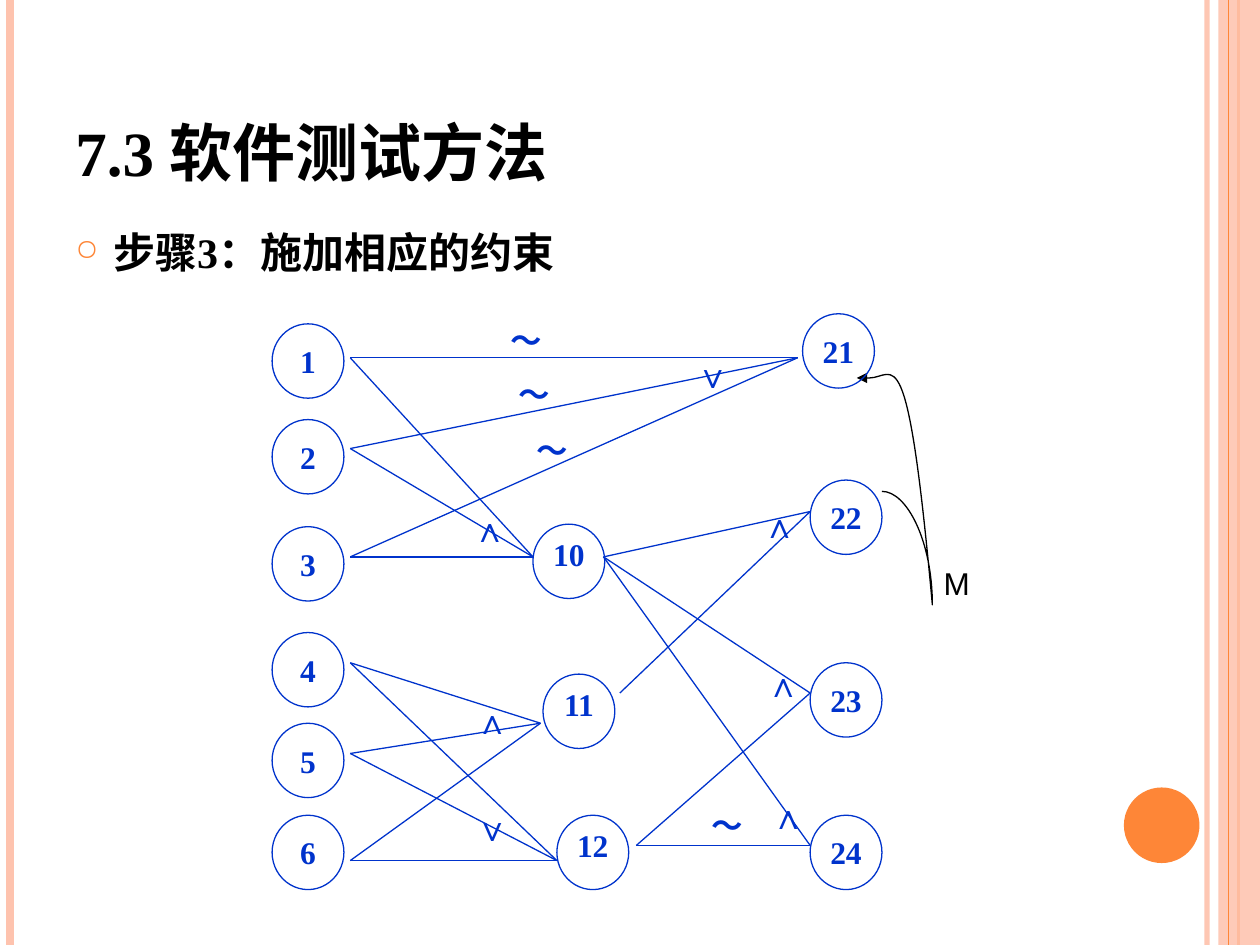
from lxml.etree import SubElement
from pptx import Presentation
from pptx.dml.color import RGBColor
from pptx.enum.dml import MSO_LINE
from pptx.enum.shapes import MSO_CONNECTOR, MSO_SHAPE
from pptx.enum.text import MSO_ANCHOR, PP_ALIGN
from pptx.oxml.ns import qn
from pptx.util import Inches, Pt

COLORS = {"ink": "000000", "graph": "0033CC", "accent": "FE8637", "pale": "FEC3AE"}
SERIF = "Times New Roman"
COLUMNS, ROWS = 100, 75
CELL = Inches(10) // COLUMNS
NODE_SIZE = (5.7, 5.9)

NODES = {
    "1": (21.6, 25.7), "2": (21.6, 33.3), "3": (21.6, 41.8),
    "4": (21.6, 50.2), "5": (21.6, 57.4), "6": (21.6, 64.7),
    "10": (42.3, 41.6), "11": (43.1, 53.5), "12": (44.2, 64.7),
    "21": (63.7, 24.9), "22": (64.3, 38.1), "23": (64.3, 52.6), "24": (64.3, 64.7),
}
EXITS = {
    "1": (27.8, 28.4), "2": (27.8, 35.6), "3": (27.8, 44.2),
    "4": (27.8, 52.6), "5": (27.8, 59.8), "6": (27.8, 68.3),
    "10": (47.9, 44.2), "11": (49.2, 55), "12": (50.5, 67.1),
}
ENTRIES = {
    "10": (42.3, 44.2), "11": (42.9, 57.4), "12": (44.2, 68.3),
    "21": (63.3, 28.4), "22": (64.3, 40.6), "23": (64.3, 55), "24": (64.3, 67.1),
}
CAUSES_OF = {
    "10": ["1", "2", "3"], "11": ["4", "5", "6"], "12": ["4", "5", "6"],
    "21": ["1", "2", "3"], "22": ["10", "11"], "23": ["10", "12"], "24": ["10", "12"],
}
OPERATORS = {
    "～": [(39.5, 25), (40.2, 29.3), (41.6, 33.7), (55.5, 63.5)],
    "∧": [(36.5, 39.8), (36.7, 55), (59.5, 39.5), (59.8, 52.1), (60.2, 62.6)],
    "∨": [(36.7, 63.5), (54.2, 27.6)],
}
MASK_CURVE = [
    (69.5, 39.2), (71.7, 39), (73.8, 42.8), (74.3, 47.6),
    (72.3, 25.9), (70.9, 30), (68.7, 30.2),
    (68.5, 30.2), (68.3, 30.2), (68.1, 30.1),
]


def cells(*values):
    return [round(value * CELL) for value in values]


def rgb(name):
    return RGBColor.from_string(COLORS[name])


def set_alpha(fill_parent, percent):
    color = next(fill_parent.iter(qn("a:srgbClr")))
    SubElement(color, qn("a:alpha")).set("val", str(percent * 1000))


def write(shape, text, size=18, font=SERIF, color="graph", bold=True,
          align=None, anchor=MSO_ANCHOR.TOP, inset=(0.1, 0.05), after=None, bullet=None):
    frame = shape.text_frame
    frame.word_wrap = True
    frame.vertical_anchor = anchor
    frame.margin_left = frame.margin_right = Inches(inset[0])
    frame.margin_top = frame.margin_bottom = Inches(inset[1])
    paragraph = frame.paragraphs[0]
    paragraph.alignment = align
    if after is not None:
        paragraph.space_after = Pt(after)
    if bullet:
        properties = paragraph._p.get_or_add_pPr()
        properties.set("marL", str(Inches(0.3)))
        properties.set("indent", str(-Inches(0.3)))
        bullet_color = SubElement(properties, qn("a:buClr"))
        SubElement(bullet_color, qn("a:srgbClr")).set("val", COLORS["accent"])
        SubElement(properties, qn("a:buSzPct")).set("val", "70000")
        SubElement(properties, qn("a:buChar")).set("char", bullet)
    run = paragraph.add_run()
    run.text = text
    run.font.size = Pt(size)
    run.font.name = font
    run.font.bold = bold
    run.font.color.rgb = rgb(color)


def add_text(slide, box, text, **style):
    write(slide.shapes.add_textbox(*cells(*box)), text, **style)


def add_line(slide, start, end, color="graph", width=0.75, alpha=None):
    line = slide.shapes.add_connector(MSO_CONNECTOR.STRAIGHT, *cells(*start, *end))
    line.line.color.rgb = rgb(color)
    line.line.width = Pt(width)
    line.line.dash_style = MSO_LINE.SOLID
    properties = line._element.spPr
    if alpha:
        set_alpha(properties, alpha)
    SubElement(properties, qn("a:effectLst"))


def add_solid(slide, preset, box, color, alpha=None):
    solid = slide.shapes.add_shape(preset, *cells(*box))
    solid.shadow.inherit = False
    solid.fill.solid()
    solid.fill.fore_color.rgb = rgb(color)
    solid.line.fill.background()
    if alpha:
        set_alpha(solid._element.spPr, alpha)


def add_node(slide, label, corner):
    node = slide.shapes.add_shape(MSO_SHAPE.OVAL, *cells(*corner, *NODE_SIZE))
    node.shadow.inherit = False
    node.fill.background()
    node.line.color.rgb = rgb("graph")
    node.line.width = Pt(0.75)
    middle_column = label in ("10", "11", "12")
    write(node, label, align=PP_ALIGN.CENTER, inset=(0, 0), after=6,
          anchor=MSO_ANCHOR.TOP if middle_column else MSO_ANCHOR.MIDDLE)


def add_curved_arrow(slide, points):
    builder = slide.shapes.build_freeform(*points[0], scale=CELL)
    builder.add_line_segments(points[1:], close=False)
    arrow = builder.convert_to_shape()
    arrow.shadow.inherit = False
    arrow.fill.background()
    arrow.line.color.rgb = rgb("ink")
    arrow.line.width = Pt(0.75)
    outline = next(arrow._element.iter(qn("a:path")))
    segments = outline.findall(qn("a:lnTo"))
    for first in range(0, len(segments), 3):
        curve = SubElement(outline, qn("a:cubicBezTo"))
        for segment in segments[first:first + 3]:
            curve.append(segment[0])
            outline.remove(segment)
    SubElement(arrow.line._get_or_add_ln(), qn("a:tailEnd")).set("type", "triangle")


def add_frame(slide):
    add_line(slide, (95.8, 0), (95.8, ROWS), "pale", 3, alpha=93)
    add_line(slide, (0.8, 0), (0.8, ROWS), "pale", 4.5)
    add_line(slide, (98.3, 0), (98.3, ROWS), "accent", 1.5)
    add_solid(slide, MSO_SHAPE.RECTANGLE, (96.7, 0, 3.3, ROWS), "pale", alpha=87)
    add_line(slide, (97.5, 0), (97.5, ROWS), "accent")
    add_solid(slide, MSO_SHAPE.OVAL, (89.2, 62.5, 6, 6), "accent")


def add_graph(slide):
    add_curved_arrow(slide, MASK_CURVE)
    add_text(slide, (73.9, 44.3, 4.9, 4), "M", font="Arial", color="ink", bold=False)
    for label, corner in NODES.items():
        add_node(slide, label, corner)
    for effect, causes in CAUSES_OF.items():
        for cause in causes:
            add_line(slide, EXITS[cause], ENTRIES[effect])
    for operator, corners in OPERATORS.items():
        size, box_size = (18, (7, 4.9)) if operator == "～" else (20, (5.9, 5.7))
        for corner in corners:
            add_text(slide, (*corner, *box_size), operator, size=size, align=PP_ALIGN.JUSTIFY)


def main():
    deck = Presentation()
    deck.slide_width, deck.slide_height = cells(COLUMNS, ROWS)
    slide = deck.slides.add_slide(deck.slide_layouts[6])
    add_frame(slide)
    add_text(slide, (5, 3, 81.7, 12.5), "7.3 软件测试方法", size=36, color="ink",
             anchor=MSO_ANCHOR.BOTTOM)
    add_text(slide, (5, 17.5, 81.7, 53.3), "步骤3：施加相应的约束", size=24, color="ink",
             bullet="○")
    add_graph(slide)
    deck.save("out.pptx")


if __name__ == "__main__":
    main()
